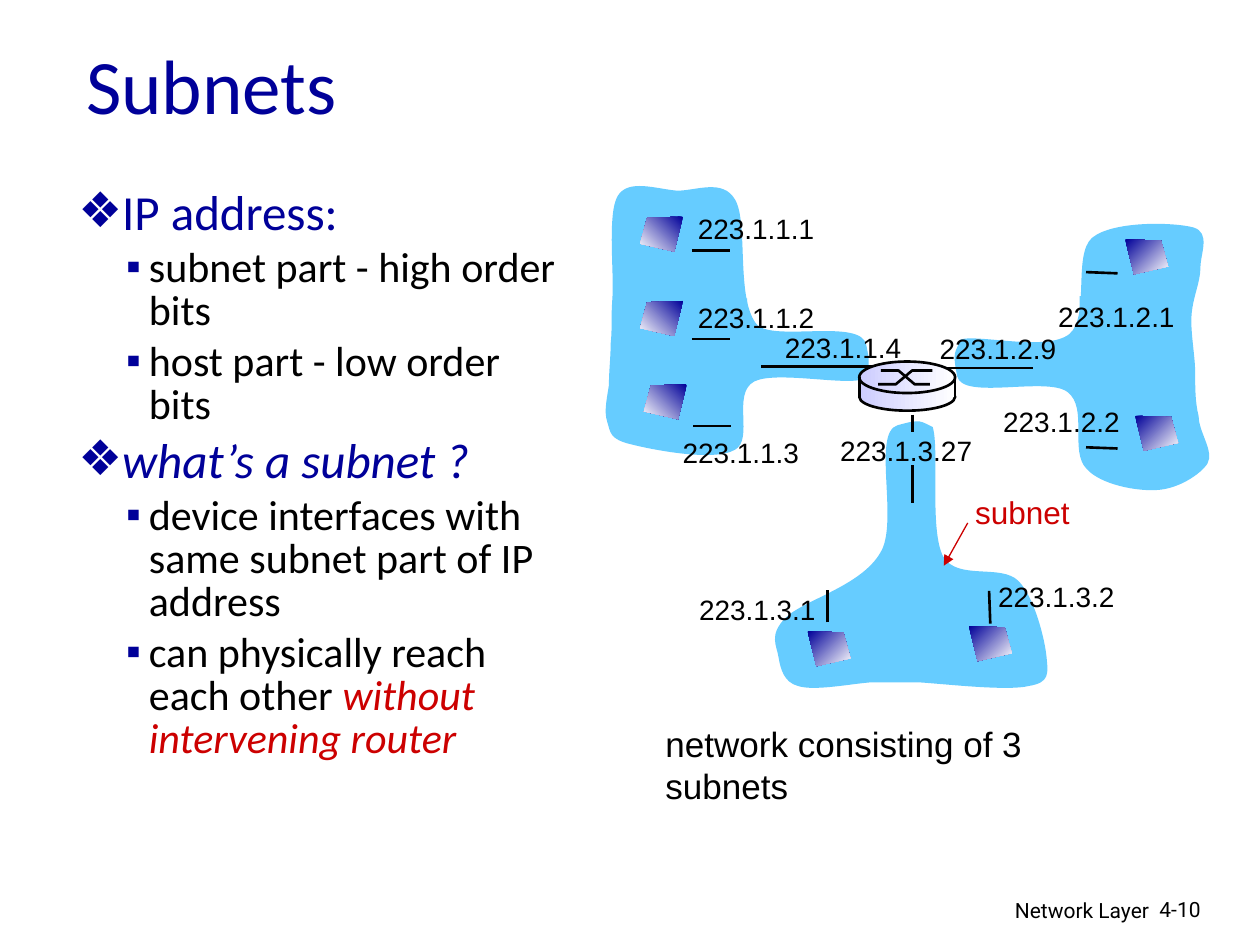
from lxml.etree import SubElement
from pptx import Presentation
from pptx.dml.color import RGBColor
from pptx.enum.shapes import MSO_CONNECTOR, MSO_SHAPE
from pptx.enum.text import MSO_ANCHOR, PP_ALIGN
from pptx.oxml.ns import qn
from pptx.util import Pt

NAVY, SKY, RED, BLACK, WHITE, LILAC = "000099", "66CCFF", "CC0000", "000000", "FFFFFF", "CCCCFF"

outline = [
    (0, [("IP address:", NAVY, False)]),
    (1, [("subnet part - high order bits", BLACK, False)]),
    (1, [("host part - low order bits", BLACK, False)]),
    (0, [("what’s a subnet ?", NAVY, True)]),
    (1, [("device interfaces with same subnet part of IP address", BLACK, False)]),
    (1, [("can physically reach each other ", BLACK, False), ("without intervening router", RED, True)]),
]
levels = [
    {"bullet": "❖", "size": 28, "left": 18.72, "hang": 18.72, "before": 5.6},
    {"bullet": "▪", "size": 24, "left": 40.32, "hang": 12.96, "before": 4.8},
]
subnet_clouds = [
    [(495, 197), (492, 182), (444, 195), (433, 186), (420, 172), (428, 127), (420, 114),
     (413, 102), (398, 109), (387, 109), (375, 108), (359, 102), (353, 112),
     (347, 122), (351, 156), (350, 170), (349, 184), (350, 187), (349, 196),
     (349, 204), (348, 212), (348, 220), (347, 227), (345, 235), (347, 241),
     (349, 247), (348, 251), (361, 254), (373, 257), (408, 264), (420, 257),
     (431, 251), (418, 225), (431, 218), (443, 212), (481, 220), (492, 217),
     (496, 210), (498, 211), (495, 197)],
    [(547, 215), (550, 229), (598, 215), (610, 224), (622, 233), (611, 258), (621, 268),
     (629, 277), (650, 281), (662, 280), (674, 279), (686, 271), (690, 265),
     (694, 258), (685, 247), (685, 238), (683, 230), (683, 222), (683, 213),
     (683, 203), (680, 189), (681, 179), (682, 169), (686, 161), (686, 153),
     (686, 145), (692, 133), (682, 130), (671, 127), (636, 126), (624, 136),
     (613, 146), (623, 181), (611, 191), (598, 201), (560, 191), (549, 194),
     (546, 202), (544, 200), (547, 215)],
    [(513, 243), (498, 247), (514, 299), (503, 316), (492, 335), (459, 343), (449, 353),
     (439, 363), (444, 369), (445, 376), (446, 382), (448, 390), (456, 392),
     (465, 395), (485, 391), (497, 390), (508, 390), (510, 390), (526, 390),
     (541, 391), (576, 395), (588, 392), (600, 390), (599, 385), (598, 375),
     (597, 365), (591, 341), (582, 332), (572, 322), (547, 332), (539, 318),
     (531, 303), (537, 257), (533, 244), (526, 241), (527, 239), (513, 243)],
]
links = [
    (395.3, 143.3, 416.9, 143.3), (395.3, 193.7, 416.9, 193.7), (396, 243.4, 417.6, 243.4),
    (434.9, 209.5, 499.7, 209.5), (540, 210.2, 590.4, 210.2),
    (620.6, 155.5, 638.6, 156.2), (620.6, 255.6, 638.6, 256.3),
    (521.3, 236.9, 521.3, 287.3), (473, 355.7, 473, 337), (565.9, 356.4, 565.2, 337.7),
]
label_gaps = [(403.9, 170.6), (617, 169.2), (617, 232.6), (510.5, 247)]
addresses = [
    ("223.1.1.1", 391.7, 117.4), ("223.1.1.2", 391.7, 168), ("223.1.1.3", 383, 245.5),
    ("223.1.1.4", 441.4, 185.4), ("223.1.2.9", 529.9, 185.8), ("223.1.2.1", 597.6, 167.8),
    ("223.1.2.2", 566.2, 227.5), ("223.1.3.27", 473, 244.1), ("223.1.3.2", 563.3, 327.6),
    ("223.1.3.1", 392.4, 335.2),
]
host_outline = [(0, 0), (20.5, 0.7), (24.5, 15.5), (5, 20)]
hosts = [
    (365.8, 123.8, True), (365.8, 172, True), (368, 219.6, True),
    (643, 136.8, False), (648.7, 237.6, False), (553.7, 357.8, False), (461.5, 360.7, False),
]
router_left, router_right = 491, 545.8
router_layers = [
    (MSO_SHAPE.OVAL, 218.9, 15.8, BLACK),
    (MSO_SHAPE.RECTANGLE, 217.4, 9.4, None),
    (MSO_SHAPE.OVAL, 206.6, 18, BLACK),
]
router_cross = [
    [(501.8, 219.6), (511.9, 219.6), (521.3, 211.7), (532.8, 211.7)],
    [(503.3, 211.7), (513.4, 211.7), (522.7, 219.6), (531.4, 219.6)],
]


def color(code):
    return RGBColor.from_string(code)


def style(shape, fill=None, line=None, angle=None):
    shape.shadow.inherit = False
    if isinstance(fill, tuple):
        shape.fill.gradient()
        shape.fill.gradient_angle = angle
        for stop, code in zip(shape.fill.gradient_stops, fill):
            stop.color.rgb = color(code)
    elif fill:
        shape.fill.solid()
        shape.fill.fore_color.rgb = color(fill)
    else:
        shape.fill.background()
    if line:
        shape.line.color.rgb = color(line)
        shape.line.width = Pt(1.5)
    else:
        shape.line.fill.background()


def add_preset(kind, left, top, width, height, **look):
    style(slide.shapes.add_shape(kind, Pt(left), Pt(top), Pt(width), Pt(height)), **look)


def add_outline(points, closed=True, curved=False, **look):
    corners = [(round(x * 100), round(y * 100)) for x, y in points]
    builder = slide.shapes.build_freeform(*corners[0], scale=Pt(1) / 100)
    builder.add_line_segments(corners[1:], close=closed)
    shape = builder.convert_to_shape()
    if curved:
        bend_segments(shape)
    style(shape, **look)


def bend_segments(shape):
    segments = list(shape._element.iter(qn("a:lnTo")))
    for start in range(0, len(segments) - 2, 3):
        curve, *rest = segments[start:start + 3]
        curve.tag = qn("a:cubicBezTo")
        for segment in rest:
            curve.append(segment[0])
            segment.getparent().remove(segment)


def add_line(x1, y1, x2, y2, code=BLACK, width=1.5, arrow=False):
    line = slide.shapes.add_connector(MSO_CONNECTOR.STRAIGHT, Pt(x1), Pt(y1), Pt(x2), Pt(y2))
    line.line.color.rgb = color(code)
    line.line.width = Pt(width)
    if arrow:
        SubElement(line.line._get_or_add_ln(), qn("a:tailEnd"), type="triangle")
    SubElement(line._element.spPr, qn("a:effectLst"))


def add_run(paragraph, text, size, font, code, italic=False):
    run = paragraph.add_run()
    run.text = text
    run.font.size = Pt(size)
    run.font.name = font
    run.font.italic = italic
    run.font.color.rgb = color(code)


def add_text(text, left, top, width, height, size=16, font="Arial", code=BLACK,
             align=PP_ALIGN.LEFT, anchor=MSO_ANCHOR.TOP, wrap=True):
    frame = slide.shapes.add_textbox(Pt(left), Pt(top), Pt(width), Pt(height)).text_frame
    frame.word_wrap = wrap
    frame.vertical_anchor = anchor
    frame.paragraphs[0].alignment = align
    if text:
        add_run(frame.paragraphs[0], text, size, font, code)
    return frame


def add_bullet(paragraph, bullet, left, hang):
    props = paragraph._p.get_or_add_pPr()
    props.set("marL", str(Pt(left)))
    props.set("indent", str(-Pt(hang)))
    SubElement(SubElement(props, qn("a:buClr")), qn("a:srgbClr"), val=NAVY)
    SubElement(props, qn("a:buFont"), typeface="Arial")
    SubElement(props, qn("a:buChar"), char=bullet)


deck = Presentation()
deck.slide_width, deck.slide_height = Pt(720), Pt(540)
slide = deck.slides.add_slide(deck.slide_layouts[6])

add_text("Network Layer", 435.6, 509.4, 228.2, 22.3, size=12, font="Roboto", align=PP_ALIGN.RIGHT)
add_text("4-10", 655.5, 509, 53.3, 21.6, size=12, font="Roboto")
add_text("Subnets", 42.1, 17.7, 291.6, 60.5, size=44, font="Calibri", code=NAVY, anchor=MSO_ANCHOR.MIDDLE)

body = add_text("", 37.7, 105.1, 290.9, 365.8)
for index, (level, runs) in enumerate(outline):
    paragraph = body.add_paragraph() if index else body.paragraphs[0]
    look = levels[level]
    paragraph.level = level
    add_bullet(paragraph, look["bullet"], look["left"], look["hang"])
    paragraph.line_spacing = 0.85
    if index:
        paragraph.space_before = Pt(look["before"])
    for text, code, italic in runs:
        add_run(paragraph, text, look["size"], "Calibri", code, italic)

add_text("network consisting of 3 subnets", 373.2, 409.4, 293, 31, size=20)

for cloud in subnet_clouds:
    add_outline(cloud, curved=True, fill=SKY)
for link in links:
    add_line(*link)
for left, top in label_gaps:
    add_preset(MSO_SHAPE.RECTANGLE, left, top, 23, 18.7, fill=SKY)
for address, left, top in addresses:
    add_text(address, left, top, 9 * len(address), 26.6, wrap=False)

for left, top, mirrored in hosts:
    corners = [(left + (24.5 - x if mirrored else x), top + y) for x, y in host_outline]
    add_outline(corners, fill=(NAVY, WHITE), angle=225 if mirrored else 315)

for kind, top, height, edge in router_layers:
    add_preset(kind, router_left, top, router_right - router_left, height,
               fill=(LILAC, WHITE), line=edge, angle=0)
for stroke in router_cross:
    add_outline(stroke, closed=False, line=BLACK)
for side in (router_left, router_right):
    add_line(side, 215.6, side, 227.5)

add_text("subnet", 550.1, 278.2, 68.4, 28.8, size=18, code=RED, wrap=False)
add_line(553, 298.8, 539.3, 323.3, code=RED, width=0.75, arrow=True)

deck.save("out.pptx")
